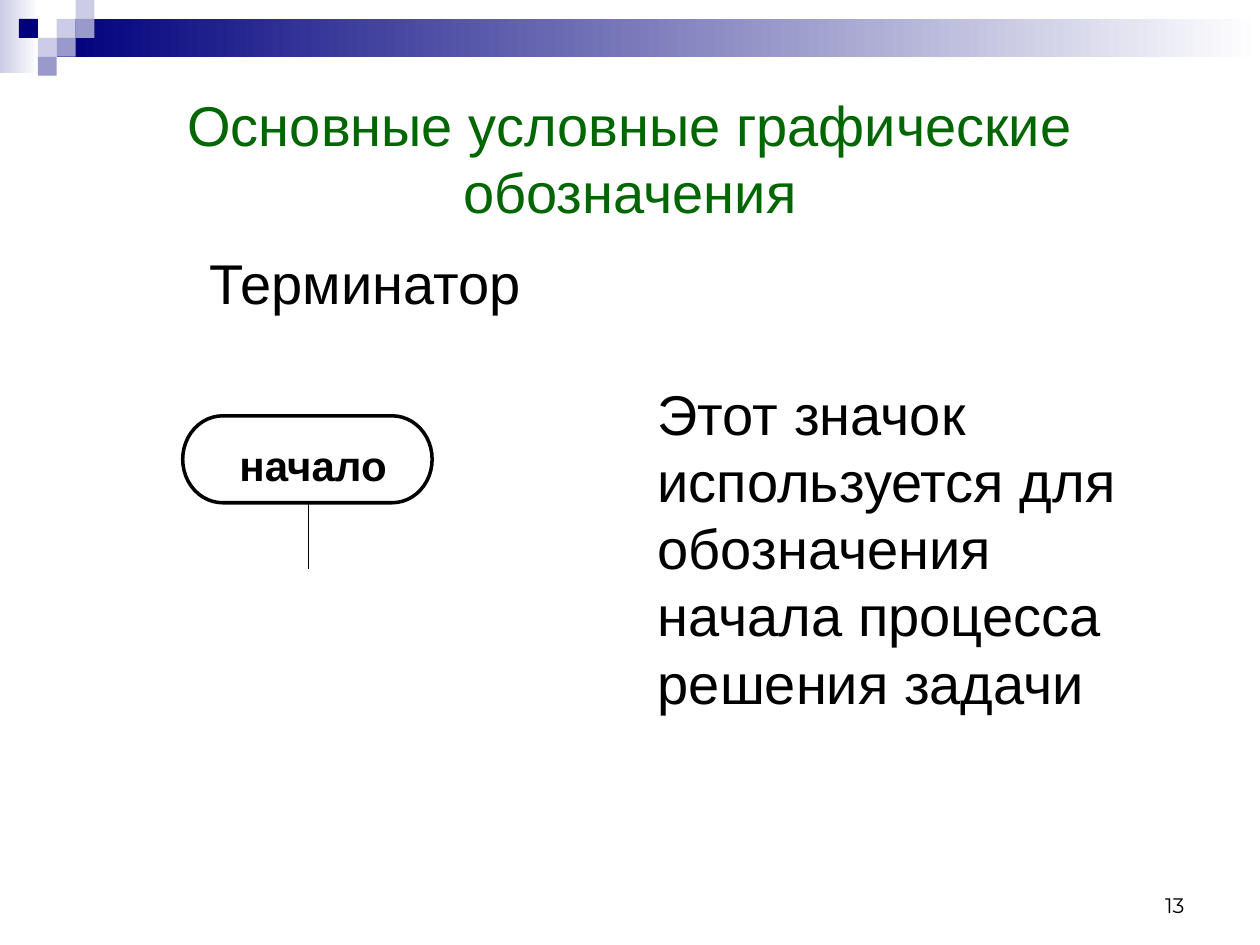
from pptx import Presentation
from pptx.dml.color import RGBColor
from pptx.enum import shapes, text
from pptx.oxml import parse_xml
from pptx.oxml.ns import nsdecls
from pptx.util import Inches, Pt

COLORS = {
    "navy": "00007D", "violet": "9999CC", "lilac": "CCCCE6",
    "white": "FFFFFF", "black": "000000", "green": "006600",
}
TILE = 0.15
BANDS = [  # left, top, width, height, start colour; each fades to white
    (0, 0, 0.31, 0.58, "lilac"),
    (0.45, 0.15, 9.55, 0.3, "navy"),
]
TILES = [  # column, row, colour
    (3, 1, "lilac"), (4, 0, "lilac"), (4, 1, "violet"), (2, 2, "lilac"),
    (1, 1, "navy"), (3, 2, "violet"), (2, 3, "violet"),
]
TEXTS = [
    ("13", (7.17, 6.83, 2.33, 0.5),
     dict(size=12, font="Montserrat", align="RIGHT", anchor="BOTTOM")),
    ("Основные условные графические обозначения", (0.5, 0.5, 9, 1.5),
     dict(color="green", align="CENTER", anchor="MIDDLE")),
    ("Этот значок используется для обозначения начала процесса решения задачи",
     (4.74, 2.96, 4.59, 2.92), dict(indent=0.38)),
    ("Терминатор", (1.42, 1.92, 2.96, 0.64), dict(align="CENTER")),
]
TERMINATOR = (1.45, 3.3, 1.98, 0.69)
STEM = (2.45, 3.99, 2.45, 4.52)
LABEL = ("начало", (1.73, 3.44, 1.51, 0.5),
         dict(size=24, bold=True, align="CENTER", fill="white"))


def rgb(name):
    return RGBColor.from_string(COLORS[name])


def add_block(page, kind, at, fill, line_width=None):
    block = page.shapes.add_shape(kind, *map(Inches, at))
    block.shadow.inherit = False
    block.fill.solid()
    block.fill.fore_color.rgb = rgb(fill)
    if line_width:
        block.line.color.rgb = rgb("black")
        block.line.width = Pt(line_width)
    else:
        block.line.fill.background()
    return block


def fade_to_white(block, start):
    block.fill.gradient()
    block.fill.gradient_angle = 0
    for stop, name, position in zip(block.fill.gradient_stops, (start, "white"), (0, 1)):
        stop.color.rgb = rgb(name)
        stop.position = position


def add_text(page, words, at, size=32, font="Arial", color="black", bold=False,
             align="LEFT", anchor="TOP", indent=0, fill=None):
    box = page.shapes.add_textbox(*map(Inches, at))
    if fill:
        box.fill.solid()
        box.fill.fore_color.rgb = rgb(fill)
    frame = box.text_frame
    frame.word_wrap = True
    frame.vertical_anchor = getattr(text.MSO_ANCHOR, anchor)
    frame.margin_left = Inches(0.1 + indent)
    para = frame.paragraphs[0]
    para.alignment = getattr(text.PP_ALIGN, align)
    span = para.add_run()
    span.text = words
    span.font.name = font
    span.font.size = Pt(size)
    span.font.bold = bold
    span.font.color.rgb = rgb(color)


def add_line(page, ends):
    line = page.shapes.add_connector(shapes.MSO_CONNECTOR.STRAIGHT, *map(Inches, ends))
    line.line.color.rgb = rgb("black")
    line.line.width = Pt(0.75)
    line._element.spPr.append(parse_xml(f"<a:effectLst {nsdecls('a')}/>"))


def main():
    deck = Presentation()
    deck.slide_width, deck.slide_height = Inches(10), Inches(7.5)
    page = deck.slides.add_slide(deck.slide_layouts[6])
    rectangle = shapes.MSO_SHAPE.RECTANGLE

    for *at, color in BANDS:
        fade_to_white(add_block(page, rectangle, at, color), color)
    for column, row, color in TILES:
        add_block(page, rectangle, (column * TILE, row * TILE, TILE, TILE), color)

    for words, at, style in TEXTS:
        add_text(page, words, at, **style)

    add_line(page, STEM)
    add_block(page, shapes.MSO_SHAPE.FLOWCHART_TERMINATOR, TERMINATOR, "white", line_width=2)
    words, at, style = LABEL
    add_text(page, words, at, **style)

    deck.save("out.pptx")


if __name__ == "__main__":
    main()
